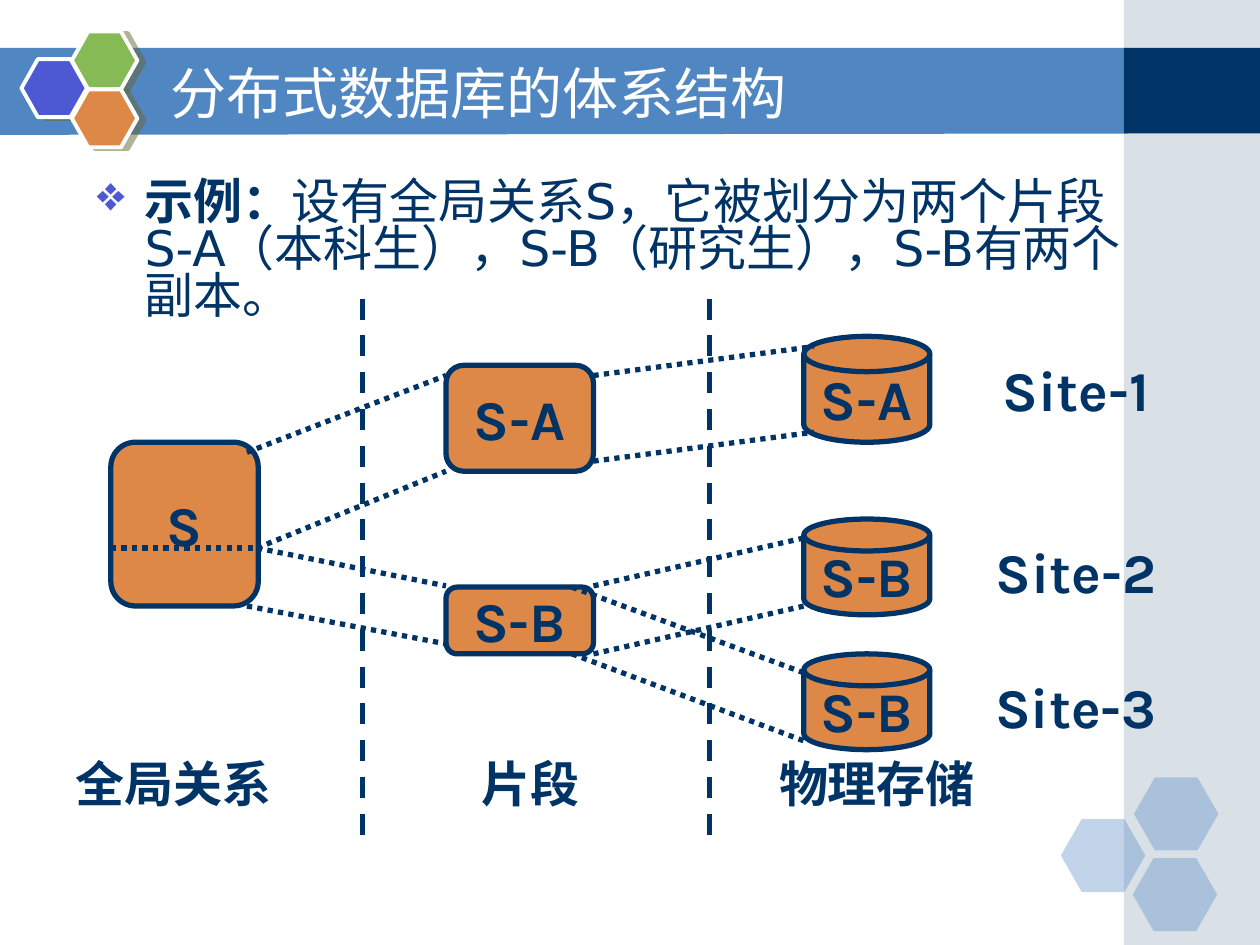
"""Build a slide showing the architecture of a distributed database."""
from dataclasses import dataclass

from lxml import etree
from pptx import Presentation
from pptx.dml.color import RGBColor
from pptx.enum.dml import MSO_LINE
from pptx.enum.shapes import MSO_CONNECTOR, MSO_SHAPE as Shape
from pptx.enum.text import MSO_ANCHOR, MSO_AUTO_SIZE, PP_ALIGN
from pptx.oxml import parse_xml
from pptx.oxml.ns import nsdecls, qn
from pptx.util import Inches, Pt


@dataclass(frozen=True)
class Theme:
    navy: str = "003366"
    blue: str = "5086C2"
    panel: str = "A0B5C4"
    violet: str = "4C59D2"
    green: str = "85BA54"
    orange: str = "DE8848"
    white: str = "FFFFFF"
    shadow: str = "666633"
    text_font: str = "DejaVu Sans"
    diagram_font: str = "Karla"
    large: int = 32
    medium: int = 28
    outline: float = 3
    logo_outline: float = 2.25


theme = Theme()


def paint(shape, fill, alpha=100, line=None, width=theme.outline):
    shape.shadow.inherit = False
    shape.fill.solid()
    shape.fill.fore_color.rgb = RGBColor.from_string(fill)
    if alpha < 100:
        color = shape.fill._xPr.find(qn("a:solidFill"))[0]
        etree.SubElement(color, qn("a:alpha"), val=str(alpha * 1000))
    if line:
        shape.line.color.rgb = RGBColor.from_string(line)
        shape.line.width = Pt(width)
    else:
        shape.line.fill.background()


def write(shape, texts, size, font, color=theme.navy, bold=None,
          align=PP_ALIGN.CENTER, anchor=MSO_ANCHOR.MIDDLE, wrap=False):
    frame = shape.text_frame
    frame.auto_size = MSO_AUTO_SIZE.NONE
    frame.word_wrap = wrap
    frame.vertical_anchor = anchor
    frame.margin_left = frame.margin_right = Inches(0.1)
    frame.margin_top = frame.margin_bottom = Inches(0.05)
    paragraph = frame.paragraphs[0]
    for text in texts:
        paragraph.add_run().text = text
    paragraph.alignment = align
    paragraph.font.size = Pt(size)
    paragraph.font.name = font
    paragraph.font.bold = bold
    paragraph.font.color.rgb = RGBColor.from_string(color)
    return paragraph


presentation = Presentation()
presentation.slide_width = Inches(10)
presentation.slide_height = Inches(7.5)
slide = presentation.slides.add_slide(presentation.slide_layouts[5])
shapes = slide.shapes

builder = shapes.build_freeform(Inches(-0.01), Inches(0.38))
builder.add_line_segments(
    [(Inches(x), Inches(y)) for x, y in ((8.95, 0.38), (8.95, 1.06), (-0.01, 1.07))])
paint(builder.convert_to_shape(), theme.blue)

for top, height, color, alpha in ((0, 7.5, theme.panel, 40), (0.38, 0.68, theme.navy, 100)):
    panel = shapes.add_shape(
        Shape.RECTANGLE, Inches(8.92), Inches(top), Inches(1.08), Inches(height))
    paint(panel, color, alpha)

for left, top in ((8.42, 6.5), (9, 6.17), (8.99, 6.81)):
    hexagon = shapes.add_shape(
        Shape.HEXAGON, Inches(left), Inches(top), Inches(0.67), Inches(0.58))
    hexagon.adjustments[0] = 0.286
    paint(hexagon, theme.blue, 35)

for left, top, color in ((0.17, 0.47, theme.violet), (0.57, 0.25, theme.green),
                         (0.57, 0.71, theme.orange)):
    hexagon = shapes.add_shape(
        Shape.HEXAGON, Inches(left), Inches(top), Inches(0.52), Inches(0.46))
    hexagon.adjustments[0] = 0.283
    paint(hexagon, color, line=theme.white, width=theme.logo_outline)
    hexagon.element.spPr.find(qn("a:effectLst")).append(parse_xml(
        f'<a:outerShdw {nsdecls("a")} dist="{Pt(4.1)}" dir="840000" algn="ctr" rotWithShape="0">'
        f'<a:srgbClr val="{theme.shadow}"><a:alpha val="50000"/></a:srgbClr></a:outerShdw>'))

title = shapes.title
title.left, title.top = Inches(1.25), Inches(0.42)
title.width, title.height = Inches(7.33), Inches(0.62)
write(title, ["分布式数据库的体系结构"], theme.large, theme.text_font, theme.white,
      align=PP_ALIGN.LEFT, wrap=True)
title.element.getparent().append(title.element)

body = shapes.add_textbox(Inches(0.67), Inches(1.39), Inches(8.5), Inches(1.29))
example = write(
    body, ["示例：", "设有全局关系S，它被划分为两个片段S-A（本科生），S-B（研究生），S-B有两个副本。"],
    theme.medium, theme.text_font, align=PP_ALIGN.LEFT, anchor=MSO_ANCHOR.TOP, wrap=True)
example.runs[0].font.bold = True
example.line_spacing = 0.8
example.space_before = Pt(7)
properties = example._p.get_or_add_pPr()
properties.set("marL", str(Inches(0.38)))
properties.set("indent", str(Inches(-0.38)))
bullet_color = parse_xml(
    f'<a:buClr {nsdecls("a")}><a:srgbClr val="{theme.violet}"/></a:buClr>')
bullet = parse_xml(f'<a:buChar {nsdecls("a")} char="❖"/>')
properties.find(qn("a:spcBef")).addnext(bullet_color)
bullet_color.addnext(bullet)

nodes = (
    (Shape.FLOWCHART_ALTERNATE_PROCESS, "S", 0.88, 3.51, 1.17, 1.3),
    (Shape.FLOWCHART_ALTERNATE_PROCESS, "S-A", 3.54, 2.9, 1.17, 0.84),
    (Shape.FLOWCHART_ALTERNATE_PROCESS, "S-B", 3.54, 4.66, 1.17, 0.53),
    (Shape.FLOWCHART_MAGNETIC_DISK, "S-A", 6.38, 2.67, 1, 0.84),
    (Shape.FLOWCHART_MAGNETIC_DISK, "S-B", 6.38, 4.12, 1, 0.76),
    (Shape.FLOWCHART_MAGNETIC_DISK, "S-B", 6.38, 5.19, 1, 0.76),
)
for kind, name, *box in nodes:
    node = shapes.add_shape(kind, *map(Inches, box))
    paint(node, theme.orange, line=theme.navy)
    write(node, [name], theme.large, theme.diagram_font, bold=True)

mapping_lines = (
    (0.88, 4.35, 2.04, 4.35), (2.04, 4.35, 3.54, 3.74), (1.96, 3.59, 3.54, 2.98),
    (2.04, 4.35, 3.54, 4.65), (1.96, 4.81, 3.54, 5.11), (4.54, 5.19, 6.38, 5.88),
    (4.54, 4.66, 6.38, 5.34), (4.71, 5.19, 6.38, 4.81), (4.71, 4.65, 6.38, 4.27),
    (4.71, 3.66, 6.46, 3.43), (4.71, 2.98, 6.46, 2.75),
)
column_dividers = tuple((x, 2.37, x, 6.64) for x in (2.88, 5.63))
for dash, lines in ((MSO_LINE.ROUND_DOT, mapping_lines), (MSO_LINE.DASH, column_dividers)):
    for ends in lines:
        connector = shapes.add_connector(MSO_CONNECTOR.STRAIGHT, *map(Inches, ends))
        connector.line.color.rgb = RGBColor.from_string(theme.navy)
        connector.line.width = Pt(theme.outline)
        connector.line.dash_style = dash
        etree.SubElement(connector.element.spPr, qn("a:effectLst"))

labels = (
    ("Site-1", 7.79, 2.82, theme.large),
    ("Site-2", 7.79, 4.27, theme.large),
    ("Site-3", 7.79, 5.34, theme.large),
    ("全局关系", 0.63, 5.95, theme.medium),
    ("片段", 3.46, 5.95, theme.medium),
    ("物理存储", 6.21, 5.95, theme.medium),
)
for text, left, top, size in labels:
    label = shapes.add_textbox(Inches(left), Inches(top), Inches(1.5), Inches(0.53))
    write(label, [text], size, theme.diagram_font, bold=True)

presentation.save("out.pptx")
